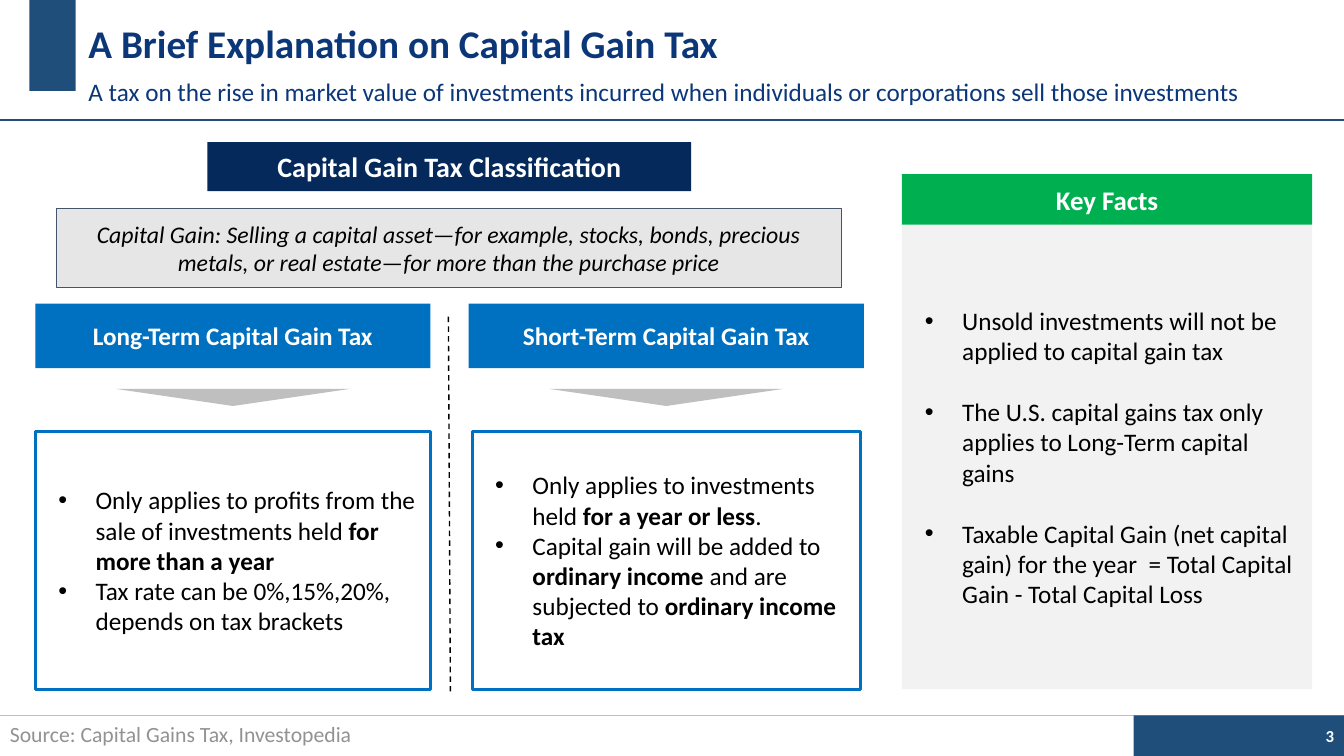
from lxml import etree
from pptx import Presentation
from pptx.dml.color import RGBColor
from pptx.enum.dml import MSO_LINE_DASH_STYLE as Dash
from pptx.enum.shapes import MSO_CONNECTOR as Connector, MSO_SHAPE as Shape
from pptx.enum.text import MSO_ANCHOR as Anchor, PP_ALIGN as Align
from pptx.oxml.ns import qn
from pptx.util import Cm, Pt

SLIDE_W, SLIDE_H = 33.87, 19.05
FOOTER_TOP = 18.03
NAVY, BLUE, GREY = "1E4E79", "0070C0", "BFBFBF"


def color(hex_code):
    return RGBColor.from_string(hex_code)


def add_bullet(paragraph, indent=1.27, hanging=0.94):
    properties = paragraph._p.get_or_add_pPr()
    properties.set("marL", str(Cm(indent)))
    properties.set("indent", str(-Cm(hanging)))
    etree.SubElement(properties, qn("a:buFont")).set("typeface", "Arial")
    etree.SubElement(properties, qn("a:buChar")).set("char", "•")


def write_text(shape, *lines, size=18, ink="000000", bold=False, italic=False,
               align=Align.LEFT, bullets=False, gap=0, spacing=None):
    """Write one paragraph per line; words between ** marks turn bold."""
    frame = shape.text_frame
    frame.word_wrap = True
    frame.vertical_anchor = Anchor.MIDDLE
    frame.margin_left = frame.margin_right = Cm(0.25)
    frame.margin_top = frame.margin_bottom = Cm(0.13)
    for number, line in enumerate(lines):
        paragraph = frame.add_paragraph() if number else frame.paragraphs[0]
        paragraph.alignment = align
        if bullets:
            add_bullet(paragraph)
        if spacing:
            paragraph.line_spacing = spacing
        if number and gap:
            paragraph.space_before = Pt(gap)
        for part, words in enumerate(line.split("**")):
            if not words:
                continue
            run = paragraph.add_run()
            run.text = words
            font = run.font
            font.name, font.size = "Calibri", Pt(size)
            font.bold, font.italic = bold or part % 2 == 1, italic
            font.color.rgb = color(ink)


def add_box(slide, left, top, width, height, fill=None, line=None, weight=0.75,
            kind=Shape.RECTANGLE):
    box = slide.shapes.add_shape(kind, Cm(left), Cm(top), Cm(width), Cm(height))
    box.shadow.inherit = False
    if fill:
        box.fill.solid()
        box.fill.fore_color.rgb = color(fill)
    else:
        box.fill.background()
    if line:
        box.line.color.rgb = color(line)
        box.line.width = Pt(weight)
    else:
        box.line.fill.background()
    return box


def add_rule(slide, x1, y1, x2, y2, ink, weight, dash=None):
    rule = slide.shapes.add_connector(Connector.STRAIGHT, Cm(x1), Cm(y1), Cm(x2), Cm(y2))
    rule.line.color.rgb = color(ink)
    rule.line.width = Pt(weight)
    if dash:
        rule.line.dash_style = dash
    etree.SubElement(rule._element.spPr, qn("a:effectLst"))


def add_text(slide, left, top, width, height, text, **text_format):
    box = slide.shapes.add_textbox(Cm(left), Cm(top), Cm(width), Cm(height))
    write_text(box, text, **text_format)


def add_header(slide, left, width, title, subtitle):
    add_box(slide, 0.74, 0, 1.17, 2.29, fill=NAVY)
    add_rule(slide, 0, 3.02, SLIDE_W, 3.02, NAVY, 1.5)
    heading = slide.shapes.title
    heading.left, heading.top = Cm(left), Cm(0.13)
    heading.width, heading.height = Cm(width - 3), Cm(2.06)
    write_text(heading, title, size=28, ink="0B3779", bold=True, spacing=0.9)
    add_text(slide, left, 1.73, width, 1.24, subtitle, ink="0B3679", spacing=0.9)


def add_footer(slide, top, source, page):
    add_rule(slide, 0, top, SLIDE_W, top, GREY, 0.75)
    page_block = add_box(slide, 28.57, top, SLIDE_W - 28.57, SLIDE_H - top, fill=NAVY)
    write_text(page_block, page, size=12, ink="FFFFFF", bold=True, align=Align.RIGHT)
    add_text(slide, 0, top - 0.05, 12.07, 1.12, source, size=15.5, ink="929391", spacing=0.9)


def add_heading(slide, left, top, width, height, text, fill, size=18):
    heading = add_box(slide, left, top, width, height, fill=fill)
    write_text(heading, text, size=size, ink="FFFFFF", bold=True, align=Align.CENTER)


def add_definition(slide, left, top, width):
    add_heading(slide, left + 3.81, top, width - 7.6, 1.24,
                "Capital Gain Tax Classification", "06295B", size=20)
    definition = add_box(slide, left, top + 1.68, width, 1.98, fill="E7E6E6", line="44546A")
    write_text(definition,
               "Capital Gain: Selling a capital asset—for example, stocks, bonds, precious "
               "metals, or real estate—for more than the purchase price",
               size=17, italic=True, align=Align.CENTER)


def add_tax_column(slide, left, top, width, name, points, inset=0):
    """Stack a heading, a downward pointer and a framed list of points."""
    add_heading(slide, left, top, width, 1.63, name, BLUE)
    pointer_w = 5.89
    pointer = add_box(slide, left + (width - pointer_w) / 2, top + 2.15, pointer_w, 0.43,
                      fill=GREY, kind=Shape.ISOSCELES_TRIANGLE)
    pointer.rotation = 180
    frame = add_box(slide, left + inset, top + 3.22, width - 2 * inset, 6.5,
                    line=BLUE, weight=2.25)
    write_text(frame, *points, bullets=True)


def add_key_facts(slide, left, top, width, height, facts):
    heading_h = 1.27
    panel = add_box(slide, left, top + heading_h, width, height - heading_h, fill="F2F2F2")
    write_text(panel, *facts, bullets=True, gap=22)
    add_heading(slide, left, top, width, heading_h, "Key Facts", "00B050", size=19.2)


def main():
    deck = Presentation()
    deck.slide_width, deck.slide_height = Cm(SLIDE_W), Cm(SLIDE_H)
    slide = deck.slides.add_slide(deck.slide_layouts[5])

    add_header(slide, 1.98, 30.58, "A Brief Explanation on Capital Gain Tax",
               "A tax on the rise in market value of investments incurred when "
               "individuals or corporations sell those investments")
    add_definition(slide, 1.42, 3.58, 19.79)
    add_tax_column(slide, 0.89, 7.65, 9.96, "Long-Term Capital Gain Tax", [
        "Only applies to profits from the sale of investments held **for more than a year**",
        "Tax rate can be 0%,15%,20%, depends on tax brackets",
    ])
    add_rule(slide, 11.3, 7.98, 11.35, 17.42, "000000", 1, Dash.DASH)
    add_tax_column(slide, 11.81, 7.65, 9.96, "Short-Term Capital Gain Tax", [
        "Only applies to investments held **for a year or less**.",
        "Capital gain will be added to **ordinary income** and are subjected to "
        "**ordinary income tax**",
    ], inset=0.09)
    add_key_facts(slide, 22.73, 4.39, 10.34, 12.98, [
        "Unsold investments will not be applied to capital gain tax",
        "The U.S. capital gains tax only applies to Long-Term capital gains",
        "Taxable Capital Gain (net capital gain) for the year  = "
        "Total Capital Gain - Total Capital Loss",
    ])
    add_footer(slide, FOOTER_TOP, "Source: Capital Gains Tax, Investopedia", "3")
    deck.save("out.pptx")


if __name__ == "__main__":
    main()
